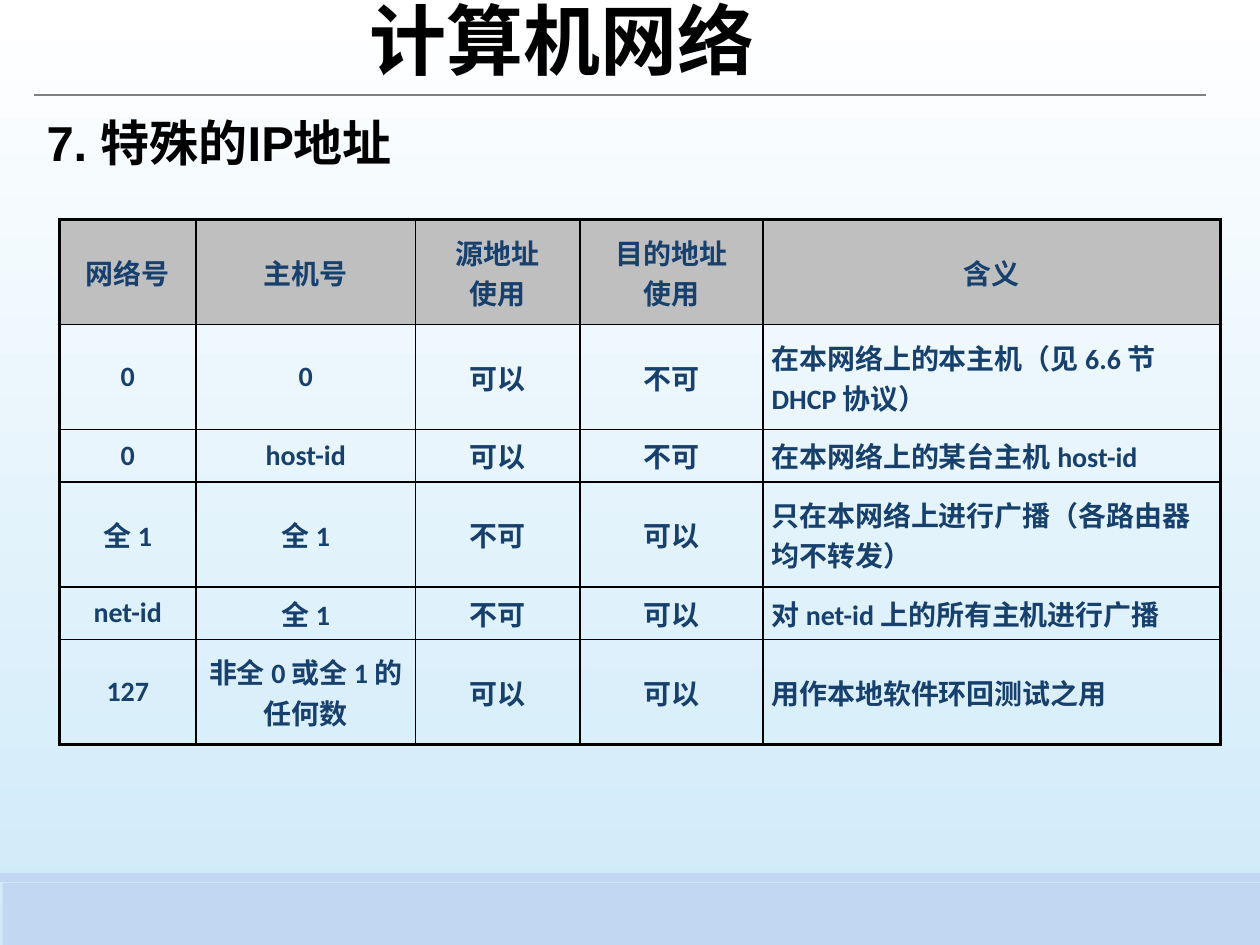
"""Build the slide on special IP addresses."""
from dataclasses import dataclass

from lxml.etree import SubElement
from pptx import Presentation
from pptx.dml.color import RGBColor
from pptx.enum.shapes import MSO_CONNECTOR as Connector, MSO_SHAPE as Shape
from pptx.enum.text import MSO_ANCHOR as Anchor, PP_ALIGN as Align
from pptx.oxml.ns import qn
from pptx.util import Pt

CJK_FONT = "Noto Sans CJK SC"
THIN, THICK = 1, 2.25
COLUMN_WIDTHS = [78, 125.5, 94, 104.5, 261.5]
ROW_HEIGHTS = [60, 60, 30, 60, 30, 60]
ADDRESS_ROWS = [
    ["网络号", "主机号", "源地址\n使用", "目的地址\n使用", "含义"],
    ["0", "0", "可以", "不可", "在本网络上的本主机（见 6.6 节 DHCP 协议）"],
    ["0", "host-id", "可以", "不可", "在本网络上的某台主机 host-id"],
    ["全 1", "全 1", "不可", "可以", "只在本网络上进行广播（各路由器均不转发）"],
    ["net-id", "全 1", "不可", "可以", "对 net-id 上的所有主机进行广播"],
    ["127", "非全 0 或全 1 的任何数", "可以", "可以", "用作本地软件环回测试之用"],
]


@dataclass
class Box:
    left: float
    top: float
    width: float
    height: float

    def lengths(self) -> list:
        return [Pt(value) for value in (self.left, self.top, self.width, self.height)]


@dataclass
class Heading:
    text: str
    box: Box
    font: dict
    align: Align
    wrap: bool
    hanging: float = 0
    outline: str = ""


FOOTER_BANDS = [Box(1.5, 504.5, 720, 36), Box(0, 499, 720, 5)]
HEADINGS = [
    Heading("计算机网络", Box(202.5, -8, 237.5, 60.5),
            {"size": Pt(44), "name": CJK_FONT, "bold": True},
            Align.CENTER, False, outline="FFFFFF"),
    Heading("7. 特殊的IP地址", Box(19.5, 60.5, 646.5, 41),
            {"size": Pt(28), "name": "Arial", "bold": True},
            Align.LEFT, True, hanging=36),
]
CELL_FONT = {"size": Pt(16), "name": "Calibri", "bold": True}


def color(value: str) -> RGBColor:
    return RGBColor.from_string(value)


def set_attributes(target, values: dict) -> None:
    for name, value in values.items():
        setattr(target, name, value)


def add_line_xml(parent, tag: str, width: float, value: str):
    line = SubElement(parent, qn(tag), w=str(Pt(width)))
    SubElement(SubElement(line, qn("a:solidFill")), qn("a:srgbClr"), val=value)
    return line


def write_paragraph(paragraph, text: str, font: dict, value: str, align: Align):
    paragraph.alignment = align
    run = paragraph.add_run()
    run.text = text
    set_attributes(run.font, font)
    run.font.color.rgb = color(value)
    properties = run.font._element
    SubElement(properties, qn("a:ea"), typeface=CJK_FONT)
    return properties


def paint_background(slide) -> None:
    fill = slide.background.fill
    fill.gradient()
    fill.gradient_angle = 270
    for stop, position, value in zip(fill.gradient_stops, (0, 1), ("FFFFFF", "CEEAF9")):
        stop.position = position
        stop.color.rgb = color(value)


def add_band(slide, box: Box) -> None:
    shape = slide.shapes.add_shape(Shape.RECTANGLE, *box.lengths())
    shape.shadow.inherit = False
    shape.fill.solid()
    shape.fill.fore_color.rgb = color("C0D8F1")
    shape.line.fill.background()


def add_rule(slide) -> None:
    rule = slide.shapes.add_connector(
        Connector.STRAIGHT, Pt(19.5), Pt(54.5), Pt(689), Pt(54.5))
    rule.line.color.rgb = color("808080")
    rule.line.width = Pt(1.25)
    SubElement(rule._element.spPr, qn("a:effectLst"))


def add_heading(slide, heading: Heading) -> None:
    frame = slide.shapes.add_textbox(*heading.box.lengths()).text_frame
    set_attributes(frame, {"word_wrap": heading.wrap, "vertical_anchor": Anchor.MIDDLE})
    paragraph = frame.paragraphs[0]
    properties = write_paragraph(
        paragraph, heading.text, heading.font, "000000", heading.align)
    if heading.hanging:
        indent = Pt(heading.hanging)
        set_attributes(paragraph._p.get_or_add_pPr(), {"marL": indent, "indent": -indent})
    if heading.outline:
        properties.insert(0, add_line_xml(properties, "a:ln", 0.75, heading.outline))


def format_cell(cell, row: int, column: int) -> None:
    last_row, last_column = len(ROW_HEIGHTS) - 1, len(COLUMN_WIDTHS) - 1
    set_attributes(cell, {"vertical_anchor": Anchor.MIDDLE,
                          "margin_left": Pt(5), "margin_right": Pt(5),
                          "margin_top": 0, "margin_bottom": 0})
    outer_edges = {"a:lnL": column == 0, "a:lnR": column == last_column,
                   "a:lnT": row == 0, "a:lnB": row == last_row}
    properties = cell._tc.get_or_add_tcPr()
    for tag, outer in outer_edges.items():
        add_line_xml(properties, tag, THICK if outer else THIN, "000000")
    if row == 0:
        cell.fill.solid()
        cell.fill.fore_color.rgb = color("BFBFBF")
    else:
        cell.fill.background()


def add_address_table(slide) -> None:
    box = Box(34, 125.5, sum(COLUMN_WIDTHS), sum(ROW_HEIGHTS))
    table = slide.shapes.add_table(
        len(ROW_HEIGHTS), len(COLUMN_WIDTHS), *box.lengths()).table
    set_attributes(table, {"first_row": False, "horz_banding": False})
    for column, width in zip(table.columns, COLUMN_WIDTHS):
        column.width = Pt(width)
    for row, height in zip(table.rows, ROW_HEIGHTS):
        row.height = Pt(height)
    for row, texts in enumerate(ADDRESS_ROWS):
        for column, text in enumerate(texts):
            cell = table.cell(row, column)
            format_cell(cell, row, column)
            meaning = row > 0 and column == len(texts) - 1
            align = Align.LEFT if meaning else Align.CENTER
            frame = cell.text_frame
            for index, line in enumerate(text.split("\n")):
                paragraph = frame.add_paragraph() if index else frame.paragraphs[0]
                write_paragraph(paragraph, line, CELL_FONT, "17406D", align)


def main() -> None:
    presentation = Presentation()
    set_attributes(presentation, {"slide_width": Pt(720), "slide_height": Pt(540)})
    slide = presentation.slides.add_slide(presentation.slide_layouts[6])
    paint_background(slide)
    for band in FOOTER_BANDS:
        add_band(slide, band)
    add_rule(slide)
    for heading in HEADINGS:
        add_heading(slide, heading)
    add_address_table(slide)
    presentation.save("out.pptx")


if __name__ == "__main__":
    main()
